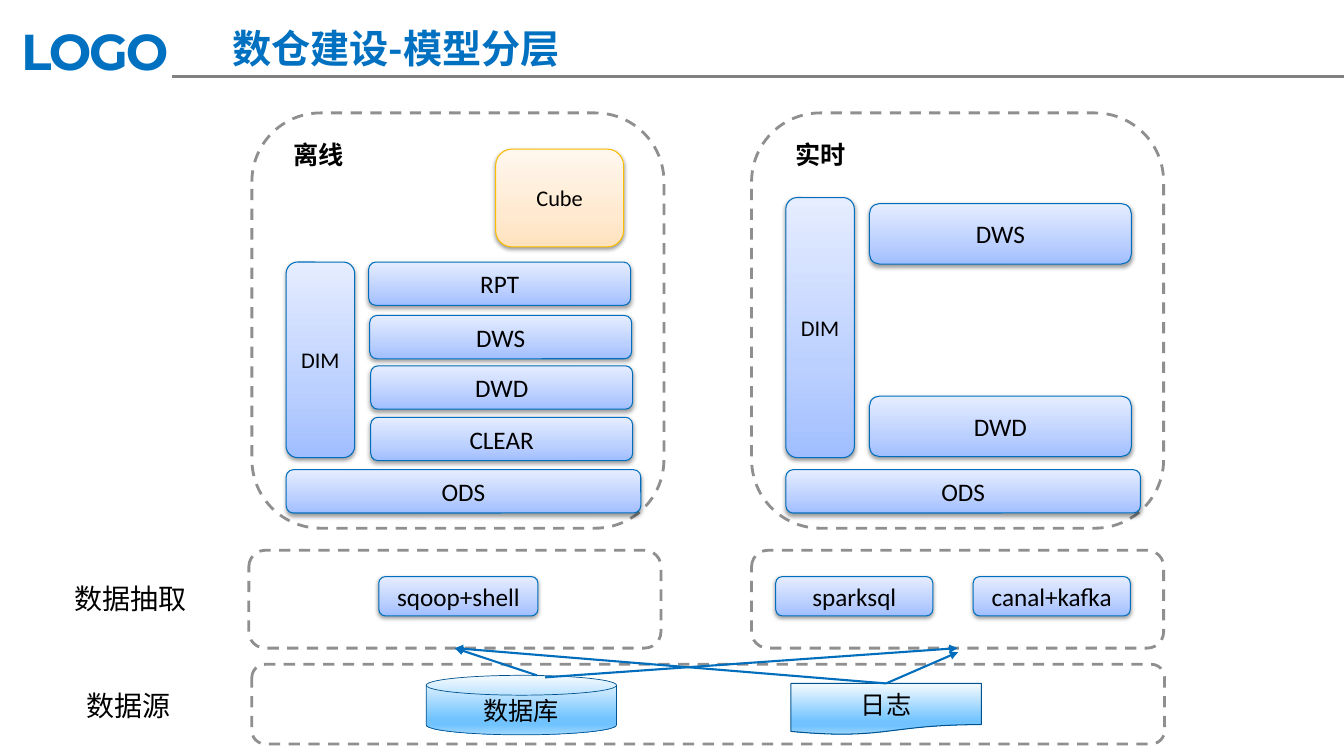
"""Build the slide on data warehouse model layers."""
import pptx
import pptx.dml.color
import pptx.enum.dml
import pptx.enum.shapes
import pptx.enum.text
import pptx.oxml
import pptx.oxml.ns
import pptx.util
from lxml import etree

Inches, Pt = pptx.util.Inches, pptx.util.Pt
qn = pptx.oxml.ns.qn
RGB = pptx.dml.color.RGBColor.from_string
SHAPE = pptx.enum.shapes.MSO_SHAPE
STRAIGHT = pptx.enum.shapes.MSO_CONNECTOR.STRAIGHT
ALIGN = pptx.enum.text.PP_ALIGN
FIT = pptx.enum.text.MSO_AUTO_SIZE.SHAPE_TO_FIT_TEXT
CHINESE, LATIN = "Noto Sans CJK SC", "Calibri"

COLORS = {"title": "0070C0", "rule": "808080", "frame": "8F8F8F", "text": "000000",
          "blue": "006EBC", "source": "00538E", "cube": "F9BC00"}
GRADIENTS = {
    "blue": (270, [(0, "A0BEFF"), (35, "BCD0FF"), (100, "E5EDFF")]),
    "cube": (270, [(0, "FFE2BD"), (35, "FFEAD1"), (100, "FFF7EE")]),
    "source": (90, [(4, "EFF8FF"), (74, "70C3FF"), (83, "70C3FF"), (100, "A0D7FF")]),
}
SHADOW = (f'<a:outerShdw xmlns:a="{pptx.oxml.ns.nsdecls("a").split(chr(34))[1]}" blurRad="{Pt(3.1)}" '
          f'dist="{Pt(1.6)}" dir="5400000" rotWithShape="0">'
          '<a:srgbClr val="000000"><a:alpha val="38000"/></a:srgbClr></a:outerShdw>')

deck = pptx.Presentation()
deck.slide_width, deck.slide_height = Inches(13.34), Inches(7.5)
page = deck.slides.add_slide(deck.slide_layouts[6])


def write(box, text, size, font, color="text", bold=False, align=ALIGN.CENTER):
    """Put one styled paragraph into a box."""
    para = box.text_frame.paragraphs[0]
    para.text = text
    para.alignment = align
    para.font.size, para.font.bold, para.font.name = Pt(size), bold, font
    para.font.color.rgb = RGB(COLORS[color])
    latin = para._p.pPr.find(qn("a:defRPr")).find(qn("a:latin"))
    east = etree.Element(qn("a:ea"), typeface=font)
    latin.addnext(east)
    return para


def add_tile(kind, place, text, style="blue", size=18, font=LATIN, width=0.75):
    """Add a labelled shape with a gradient fill."""
    tile = page.shapes.add_shape(kind, *map(Inches, place))
    tile.shadow.inherit = False
    tile.line.color.rgb = RGB(COLORS[style])
    tile.line.width = Pt(width)
    tile.fill.gradient()
    angle, stops = GRADIENTS[style]
    gradient = tile._element.spPr.find(qn("a:gradFill"))
    gradient.find(qn("a:lin")).set("ang", str(angle * 60000))
    stop_list = gradient.find(qn("a:gsLst"))
    stop_list.clear()
    for position, color in stops:
        stop = etree.SubElement(stop_list, qn("a:gs"), pos=str(position * 1000))
        etree.SubElement(stop, qn("a:srgbClr"), val=color)
    if style != "source":
        tile._element.spPr.find(qn("a:effectLst")).append(pptx.oxml.parse_xml(SHADOW))
    write(tile, text, size, font)
    return tile


logo = page.shapes.add_textbox(Inches(0.08), Inches(0.13), Inches(1.86), Inches(0.74))
logo.text_frame.margin_left = logo.text_frame.margin_right = Inches(0.13)
logo.text_frame.margin_top = logo.text_frame.margin_bottom = Inches(0.07)
logo_para = write(logo, "LOGO", 36, "Montserrat", "title", True, ALIGN.LEFT)
logo_para._p.pPr.find(qn("a:defRPr")).set("spc", "-150")
title = page.shapes.add_textbox(Inches(1.5), Inches(0.19), Inches(4.86), Inches(0.57))
write(title, "数仓建设-模型分层", 28, CHINESE, "title", True)
for box in (logo, title):
    box.text_frame.word_wrap = True
    box.text_frame.auto_size = FIT

frames = []
for place in [(2.47, 5.46, 4.09, 0.97), (7.46, 5.46, 4.09, 0.97), (2.5, 6.59, 9.06, 0.79),
              (2.5, 1.12, 4.09, 4.12), (7.46, 1.12, 4.09, 4.12)]:
    frame = page.shapes.add_shape(SHAPE.FLOWCHART_ALTERNATE_PROCESS, *map(Inches, place))
    frame.shadow.inherit = False
    frame.fill.background()
    frame.line.color.rgb = RGB(COLORS["frame"])
    frame.line.width = Pt(2)
    frame.line.dash_style = pptx.enum.dml.MSO_LINE.DASH
    frames.append(frame)
offline_extract, realtime_extract = frames[:2]

database = add_tile(SHAPE.FLOWCHART_MAGNETIC_DISK, (4.23, 6.7, 1.89, 0.59), "数据库",
                    "source", font=CHINESE, width=0.5)
log = add_tile(SHAPE.FLOWCHART_DOCUMENT, (7.85, 6.78, 1.89, 0.51), "日志", "source", font=CHINESE)

for left, width, text in [(3.76, 1.58, "sqoop+shell"), (7.7, 1.56, "sparksql"),
                          (9.66, 1.56, "canal+kafka")]:
    add_tile(SHAPE.ROUNDED_RECTANGLE, (left, 5.72, width, 0.39), text)

for left, top in [(2.84, 2.6), (7.8, 1.96)]:
    add_tile(SHAPE.FLOWCHART_ALTERNATE_PROCESS, (left, top, 0.68, 4.54 - top), "DIM", size=16)
    add_tile(SHAPE.ROUNDED_RECTANGLE, (left, 4.66, 3.52, 0.43), "ODS")

for left, top, height, text in [
        (3.68, 4.14, 0.43, "CLEAR"), (3.68, 3.63, 0.43, "DWD"), (3.67, 3.13, 0.43, "DWS"),
        (3.66, 2.6, 0.43, "RPT"), (8.63, 3.93, 0.6, "DWD"), (8.63, 2.02, 0.6, "DWS")]:
    add_tile(SHAPE.ROUNDED_RECTANGLE, (left, top, 2.6, height), text)

for place, text, size, bold in [
        ((0.76, 6.78, 1.04, 0.44), "数据源", 20, False),
        ((0.64, 5.72, 1.32, 0.44), "数据抽取", 20, False),
        ((2.81, 1.33, 0.71, 0.4), "离线", 18, True),
        ((7.8, 1.33, 0.71, 0.4), "实时", 18, True)]:
    label = page.shapes.add_textbox(*map(Inches, place))
    label.text_frame.word_wrap = False
    label.text_frame.auto_size = FIT
    write(label, text, size, CHINESE, bold=bold, align=ALIGN.LEFT)

for start, end, color, width, source, target in [
        ((1.71, 0.76), (13.34, 0.76), "rule", 2, None, None),
        ((5.33, 6.7), (4.51, 6.43), "blue", 1.5, None, offline_extract),
        ((5.41, 6.72), (9.51, 6.43), "blue", 1.5, None, realtime_extract),
        ((8.8, 6.78), (4.51, 6.43), "blue", 1.5, log, offline_extract),
        ((8.8, 6.78), (9.51, 6.47), "blue", 1.5, log, None)]:
    line = page.shapes.add_connector(STRAIGHT, *map(Inches, start + end))
    line.line.color.rgb = RGB(COLORS[color])
    line.line.width = Pt(width)
    if source:
        line.begin_connect(source, 0)
    if target:
        line.end_connect(target, 2)
    if color == "blue":
        etree.SubElement(line.line._get_or_add_ln(), qn("a:tailEnd"), type="triangle")
    etree.SubElement(line._element.spPr, qn("a:effectLst"))

add_tile(SHAPE.FLOWCHART_ALTERNATE_PROCESS, (4.92, 1.48, 1.27, 0.97), "Cube", "cube", size=16)

deck.save("out.pptx")
